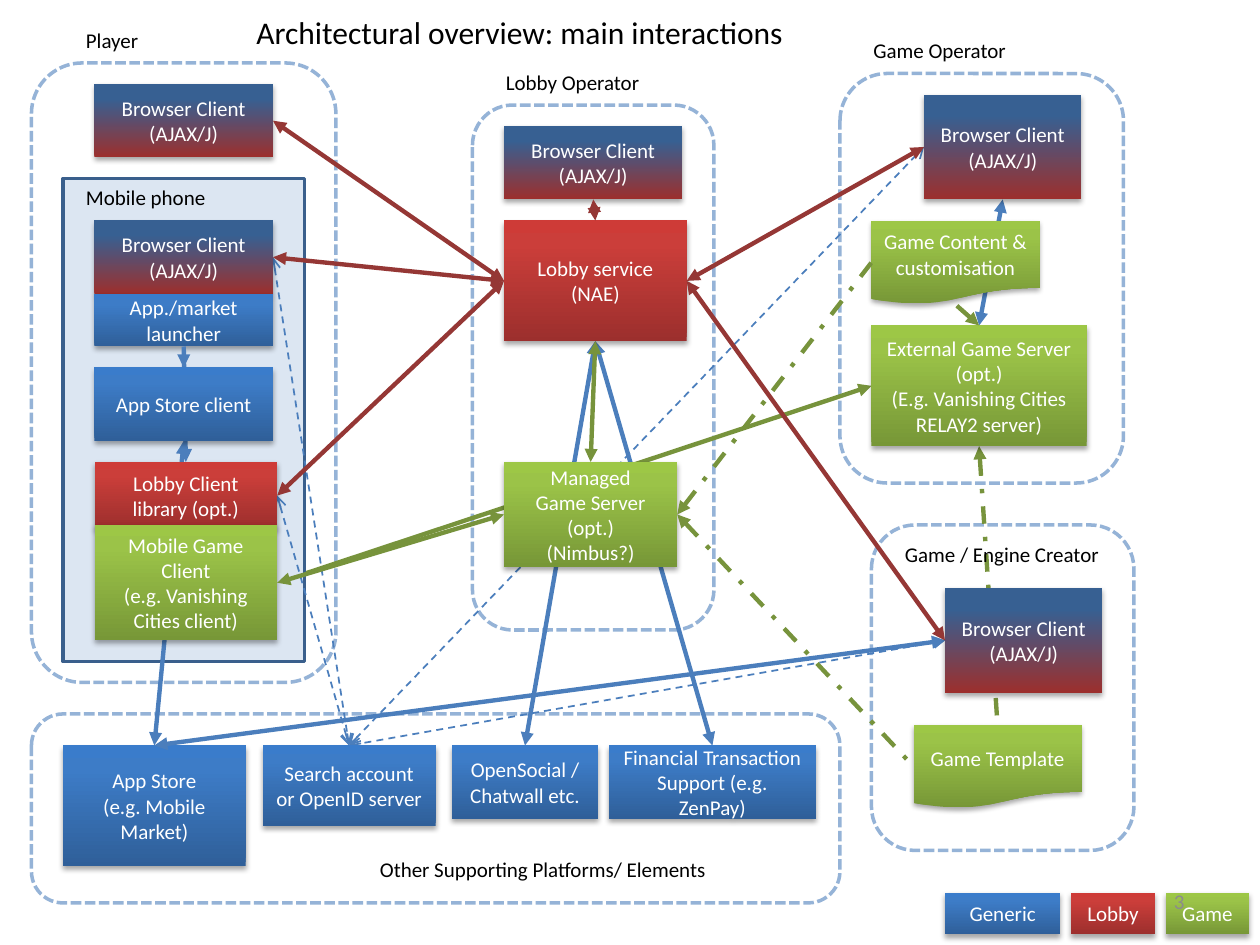
"""Build the architectural overview slide on a grid of 120 columns by 90 rows."""
from dataclasses import dataclass

from lxml import etree
from pptx import Presentation
from pptx.dml.color import RGBColor
from pptx.enum.dml import MSO_LINE
from pptx.enum.shapes import MSO_CONNECTOR, MSO_SHAPE
from pptx.enum.text import MSO_ANCHOR, PP_ALIGN
from pptx.oxml import parse_xml
from pptx.oxml.ns import nsdecls, qn
from pptx.util import Inches, Pt

RECTANGLE, ROUNDED = MSO_SHAPE.RECTANGLE, MSO_SHAPE.ROUNDED_RECTANGLE
PROCESS, DOCUMENT = MSO_SHAPE.FLOWCHART_PROCESS, MSO_SHAPE.FLOWCHART_DOCUMENT
STRAIGHT = MSO_CONNECTOR.STRAIGHT
SQUARE_DOT, DASH, DASH_DOT = MSO_LINE.SQUARE_DOT, MSO_LINE.DASH, MSO_LINE.DASH_DOT
LEFT, CENTER, RIGHT_ALIGNED = PP_ALIGN.LEFT, PP_ALIGN.CENTER, PP_ALIGN.RIGHT
MIDDLE, UPPER = MSO_ANCHOR.MIDDLE, MSO_ANCHOR.TOP
TOP, WEST, BOTTOM, EAST = range(4)
WIDTH, HEIGHT = Inches(10), Inches(7.5)
COLUMNS, ROWS = 120, 90


@dataclass(frozen=True)
class Theme:
    """Colours, gradients, line styles and type sizes of the slide."""
    font: str = "Calibri"
    title_size: float = 18
    body_size: float = 12
    dark: str = "000000"
    light: str = "FFFFFF"
    number: str = "8C8C8C"
    zone_line: str = "95B3D7"
    phone_fill: str = "DCE6F2"
    phone_line: str = "3A5F8C"
    outline_width: float = 2
    generic: tuple = ("2F5F99", "3D7CC7", "3A7CCB")
    lobby: tuple = ("9C2F2D", "CB3E3A", "CE3B37")
    game: tuple = ("779737", "9BC348", "9DC746")
    browser: tuple = ("9C2F2D", "376092", "376092")
    generic_link: tuple = ("4B7EBC", 2.5, None, "triangle", True)
    account_link: tuple = ("4B7EBC", 1, DASH, "arrow", True)
    launch_link: tuple = ("4B7EBC", 2.5, None, "triangle", False)
    lobby_link: tuple = ("953735", 2.5, None, "triangle", True)
    game_link: tuple = ("77933C", 2.5, None, "triangle", True)
    content_link: tuple = ("77933C", 2.5, DASH_DOT, "triangle", False)


THEME = Theme()
BROWSER_TEXT = ("Browser Client", "(AJAX/J)")


def grid(column, row, columns, rows):
    """Turn grid cells into left, top, width and height."""
    return (round(column * WIDTH / COLUMNS), round(row * HEIGHT / ROWS),
            round(columns * WIDTH / COLUMNS), round(rows * HEIGHT / ROWS))


def write(shape, paragraphs, color, alignment=CENTER, anchor=MIDDLE, size=THEME.body_size):
    """Fill a shape with paragraphs; a line feed is a soft break."""
    frame = shape.text_frame
    frame.word_wrap = True
    frame.vertical_anchor = anchor
    for index, text in enumerate(paragraphs):
        paragraph = frame.add_paragraph() if index else frame.paragraphs[0]
        paragraph.alignment = alignment
        for position, line in enumerate(text.split("\n")):
            if position:
                paragraph.add_line_break()
            run = paragraph.add_run()
            run.text = line
            run.font.name = THEME.font
            run.font.size = Pt(size)
            run.font.color.rgb = RGBColor.from_string(color)


def add_gradient(shape, colors):
    """Give a shape a three-stop gradient that rises from its bottom edge."""
    stops = "".join(f'<a:gs pos="{share * 1000}"><a:srgbClr val="{color}"/></a:gs>'
                    for share, color in zip((0, 80, 100), colors))
    gradient = parse_xml(f'<a:gradFill {nsdecls("a")} rotWithShape="1"><a:gsLst>{stops}</a:gsLst>'
                         '<a:lin ang="16200000" scaled="0"/></a:gradFill>')
    shape.element.spPr.find(qn("a:prstGeom")).addnext(gradient)


def add_shadow(shape):
    """Give a shape a soft shadow below it."""
    shape.shadow.inherit = False
    shape.element.spPr.find(qn("a:effectLst")).append(parse_xml(
        f'<a:outerShdw {nsdecls("a")} blurRad="{Pt(3.1)}" dist="{Pt(1.8)}" dir="5400000" '
        'rotWithShape="0"><a:srgbClr val="000000"><a:alpha val="35000"/></a:srgbClr></a:outerShdw>'))


def add_box(slide, cells, colors, paragraphs, preset=RECTANGLE):
    """Add a shaded box with centred text."""
    shape = slide.shapes.add_shape(preset, *grid(*cells))
    shape.line.fill.background()
    add_gradient(shape, colors)
    add_shadow(shape)
    write(shape, paragraphs, THEME.light)
    return shape


def add_outline(slide, cells, preset, color, fill=None, dash=None):
    """Add a bordered area."""
    shape = slide.shapes.add_shape(preset, *grid(*cells))
    shape.shadow.inherit = False
    if fill:
        shape.fill.solid()
        shape.fill.fore_color.rgb = RGBColor.from_string(fill)
    else:
        shape.fill.background()
    shape.line.color.rgb = RGBColor.from_string(color)
    shape.line.width = Pt(THEME.outline_width)
    shape.line.dash_style = dash


def add_zone(slide, *cells):
    """Add the dashed frame of one party."""
    add_outline(slide, cells, ROUNDED, THEME.zone_line, dash=SQUARE_DOT)


def add_label(slide, cells, text, color=THEME.dark, **style):
    """Add a line of free text."""
    write(slide.shapes.add_textbox(*grid(*cells)), [text], color,
          **{"alignment": LEFT, "anchor": UPPER, **style})


def add_link(slide, style):
    """Add an arrow whose ends are joined later."""
    color, width, dash, arrow, both_ends = style
    connector = slide.shapes.add_connector(STRAIGHT, 0, 0, 0, 0)
    connector.line.color.rgb = RGBColor.from_string(color)
    connector.line.width = Pt(width)
    connector.line.dash_style = dash
    for tag in ("a:headEnd", "a:tailEnd")[:1 + both_ends]:
        etree.SubElement(connector.get_or_add_ln(), qn(tag), type=arrow)
    etree.SubElement(connector.element.spPr, qn("a:effectLst"))
    return connector


def main():
    """Draw the slide from back to front, then join the arrows."""
    presentation = Presentation()
    presentation.slide_width, presentation.slide_height = WIDTH, HEIGHT
    slide = presentation.slides.add_slide(presentation.slide_layouts[6])
    boxes, joins = {}, []

    def box(name, *arguments):
        boxes[name] = add_box(slide, *arguments)

    def link(style, *ends):
        joins.append((add_link(slide, style), *ends))

    add_zone(slide, 83, 50, 25, 31)
    add_zone(slide, 80, 7, 27, 39)
    link(THEME.content_link, "external", BOTTOM, "template", TOP)
    add_zone(slide, 3, 68, 77, 18)
    add_zone(slide, 45, 10, 23, 50)
    link(THEME.generic_link, "service", BOTTOM, "social", TOP)
    box("store", (6, 71, 17.4, 11.5), THEME.generic, ["App Store\n(e.g. Mobile Market)"], PROCESS)
    link(THEME.generic_link, "creator", WEST, "store", TOP)
    link(THEME.generic_link, "operator", BOTTOM, "external", TOP)
    add_zone(slide, 3, 6, 29, 59)
    link(THEME.game_link, "mobile game", EAST, "external", WEST)
    link(THEME.generic_link, "service", BOTTOM, "financial", TOP)
    add_outline(slide, (6, 17, 23, 46), RECTANGLE, THEME.phone_line, THEME.phone_fill)
    for name, side in (("library", EAST), ("mobile browser", EAST), ("operator", WEST), ("creator", WEST)):
        link(THEME.account_link, name, side, "account", TOP)
    link(THEME.generic_link, "store client", BOTTOM, "store", TOP)

    add_label(slide, (22, 0, 55, 6), "Architectural overview: main interactions",
              alignment=CENTER, anchor=MIDDLE, size=THEME.title_size)
    box("service", (48, 21, 17.4, 11.5), THEME.lobby, ["Lobby service", "(NAE)"], PROCESS)
    box("external", (83, 31, 20.5, 11.5), THEME.game,
        ["External Game Server (opt.)", "(E.g. Vanishing Cities RELAY2 server)"])
    box("managed", (48, 44, 16.5, 10), THEME.game, ["Managed", "Game Server (opt.)", "(Nimbus?)"])
    box("account", (25, 71, 16.5, 7.7), THEME.generic, ["Search account or OpenID server"])
    box("library", (9, 44, 17.4, 6.4), THEME.lobby, ["Lobby Client library (opt.)"])
    box("mobile game", (9, 50, 17.4, 11), THEME.game, ["Mobile Game Client\n(e.g. Vanishing Cities client)"])
    box("mobile browser", (9, 21, 17, 7), THEME.browser, BROWSER_TEXT)
    box("operator", (88, 9, 15, 10), THEME.browser, BROWSER_TEXT)
    box("financial", (58, 71, 19.7, 7), THEME.generic, ["Financial Transaction Support (e.g. ZenPay)"])
    box("template", (87, 69, 16, 8), THEME.game, ["Game Template"], DOCUMENT)
    box("creator", (90, 56, 15, 10), THEME.browser, BROWSER_TEXT)
    for column, row, columns, text in (
            (7, 17, 15, "Mobile phone"), (82, 3, 17, "Game Operator"), (7, 2, 8, "Player"),
            (85, 51, 22, "Game / Engine Creator"), (47, 6, 17, "Lobby Operator"),
            (35, 81, 34, "Other Supporting Platforms/ Elements")):
        add_label(slide, (column, row, columns, 3.6), text)
    box("content", (83, 21, 16, 8), THEME.game, ["Game Content & customisation"], DOCUMENT)
    for column, columns, colors, text in ((90, 11, THEME.generic, "Generic"),
                                          (102, 8, THEME.lobby, "Lobby"), (111, 8, THEME.game, "Game")):
        add_box(slide, (column, 85, columns, 4), colors, [text])

    link(THEME.lobby_link, "mobile browser", EAST, "service", WEST)
    link(THEME.lobby_link, "library", EAST, "service", WEST)
    link(THEME.game_link, "mobile game", EAST, "managed", WEST)
    link(THEME.lobby_link, "creator", WEST, "service", EAST)
    link(THEME.lobby_link, "service", EAST, "operator", WEST)
    link(THEME.game_link, "service", BOTTOM, "managed", TOP)
    link(THEME.content_link, "managed", EAST, "template", WEST)
    link(THEME.content_link, "managed", EAST, "content", WEST)
    box("lobby browser", (48, 12, 17, 7), THEME.browser, BROWSER_TEXT)
    link(THEME.lobby_link, "lobby browser", BOTTOM, "service", TOP)
    box("player", (9, 8, 17, 7), THEME.browser, BROWSER_TEXT)
    link(THEME.lobby_link, "player", EAST, "service", WEST)
    box("launcher", (9, 28, 17, 5), THEME.generic, ["App./market launcher"])
    box("social", (43, 71, 14, 7), THEME.generic, ["OpenSocial / Chatwall etc."])
    link(THEME.launch_link, "library", TOP, "launcher", BOTTOM)
    link(THEME.launch_link, "store client", TOP, "launcher", BOTTOM)
    box("store client", (9, 35, 17, 7), THEME.generic, ["App Store client"])
    link(THEME.content_link, "external", TOP, "content", BOTTOM)
    add_label(slide, (86, 83.4, 28, 4.8), "3", THEME.number, alignment=RIGHT_ALIGNED, anchor=MIDDLE)

    for connector, start, start_side, end, end_side in joins:
        connector.begin_connect(boxes[start], start_side)
        connector.end_connect(boxes[end], end_side)
    presentation.save("out.pptx")


if __name__ == "__main__":
    main()
